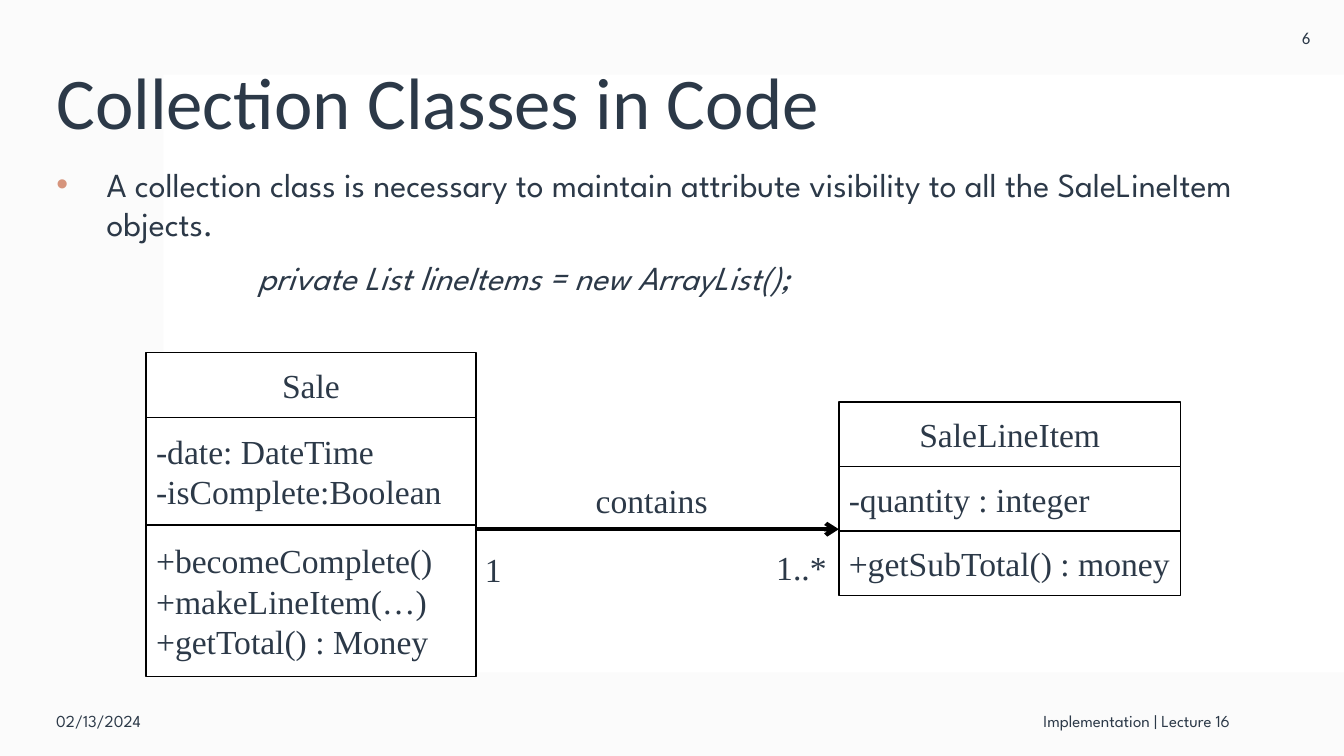
from pptx import Presentation
from pptx.util import Inches, Pt
from pptx.dml.color import RGBColor
from pptx.enum.shapes import MSO_SHAPE, MSO_CONNECTOR
from pptx.enum.text import PP_ALIGN, MSO_ANCHOR
from pptx.oxml.ns import qn
from lxml import etree

RECT, STRAIGHT = MSO_SHAPE.RECTANGLE, MSO_CONNECTOR.STRAIGHT
LEFT, CENTER, RIGHT = PP_ALIGN.LEFT, PP_ALIGN.CENTER, PP_ALIGN.RIGHT
TOP, MIDDLE = MSO_ANCHOR.TOP, MSO_ANCHOR.MIDDLE

# Content
W, H = 13.33, 7.5
INK, BLACK, WHITE, PALE, BULLET = "2C3948", "000000", "FFFFFF", "F4F4F4", "D6947C"
SANS, HEAD, SERIF = "League Spartan", "Calibri", "Times New Roman"
MARGIN, FOOT = 0.46, 0.7

TITLE = "Collection Classes in Code"
POINT = ("A collection class is necessary to maintain attribute visibility "
         "to all the SaleLineItem objects.")
CODE = "private List lineItems = new ArrayList();"

# Each class: left, top, width, then compartments (height, lines)
CLASSES = [
    (1.45, 3.5, 3.27, [
        (0.64, ["Sale"]),
        (1.07, ["-date: DateTime", "-isComplete:Boolean"]),
        (1.5, ["+becomeComplete()", "+makeLineItem(…)", "+getTotal() : Money"]),
    ]),
    (8.32, 3.99, 3.39, [
        (0.64, ["SaleLineItem"]),
        (0.64, ["-quantity : integer"]),
        (0.64, ["+getSubTotal() : money"]),
    ]),
]
LINK_Y = 5.25
LINK_LABELS = [("1..*", 7.6, 5.38, 0.72), ("1", 4.71, 5.4, 0.72),
               ("contains", 5.81, 4.71, 1.42)]
# Text, box, font, alignment
SMALL_TEXTS = [
    ("6", (W - 0.75, 0, 0.75, 0.75), HEAD, CENTER),
    ("02/13/2024", (MARGIN, H - FOOT, 3, FOOT), SANS, LEFT),
    ("Implementation | Lecture 16", (4.12, H - FOOT, 8.18, FOOT), SANS, RIGHT),
]

prs = Presentation()
prs.slide_width, prs.slide_height = Inches(W), Inches(H)
s = prs.slides.add_slide(prs.slide_layouts[6])


def rgb(color):
    return RGBColor.from_string(color)


def write(sp, lines, size, font, align=LEFT, anchor=MIDDLE):
    tf = sp.text_frame
    tf.word_wrap, tf.vertical_anchor = True, anchor
    for i, line in enumerate(lines):
        p = tf.paragraphs[0] if i == 0 else tf.add_paragraph()
        p.alignment = align
        r = p.add_run()
        r.text = line
        r.font.size, r.font.name = Pt(size), font
        r.font.color.rgb = rgb(INK)
    return tf


def text(lines, box, size, font, align=LEFT, anchor=MIDDLE):
    sp = s.shapes.add_textbox(*map(Inches, box))
    return write(sp, lines, size, font, align, anchor)


def rect(box, fill, line=None):
    sp = s.shapes.add_shape(RECT, *map(Inches, box))
    sp.shadow.inherit = False
    sp.fill.solid()
    sp.fill.fore_color.rgb = rgb(fill)
    if line:
        sp.line.color.rgb, sp.line.width = rgb(line), Pt(1)
    else:
        sp.line.fill.background()
    return sp


# Background: pale wash with a white panel
wash = rect((0, 0, W, H), PALE)
tint = wash._element.spPr.find(qn("a:solidFill"))[0]
etree.SubElement(tint, qn("a:alpha"), val="35000")
rect((1.62, 0.74, W - 1.62, 5.93), WHITE)

# Title and body
text([TITLE], (MARGIN, 0.4, 11.53, 1.19), 52, HEAD)
tf = text([POINT, CODE], (MARGIN, 1.59, 12.41, 1.75), 24, SANS, anchor=TOP)
point, code = tf.paragraphs
for p in (point, code):
    p.line_spacing, p.space_before = Pt(28), Pt(10)
code.runs[0].font.italic = True
code._p.get_or_add_pPr().set("marL", str(Inches(2)))
pPr = point._p.get_or_add_pPr()
pPr.set("marL", str(Inches(0.5)))
pPr.set("indent", str(-Inches(0.5)))
bullet_color = etree.SubElement(pPr, qn("a:buClr"))
etree.SubElement(bullet_color, qn("a:srgbClr"), val=BULLET)
etree.SubElement(pPr, qn("a:buFont"), typeface="Arial")
etree.SubElement(pPr, qn("a:buChar"), char="•")

# Page number, date and footer
for words, box, font, align in SMALL_TEXTS:
    text([words], box, 12, font, align)

# Class boxes: compartments stacked downwards, name centred
for left, top, width, compartments in CLASSES:
    y = top
    for i, (height, lines) in enumerate(compartments):
        sp = rect((left, y, width, height), WHITE, BLACK)
        write(sp, lines, 24, SERIF, LEFT if i else CENTER)
        y += height

# Association arrow between the classes
sale, item = CLASSES
link = s.shapes.add_connector(STRAIGHT, Inches(sale[0] + sale[2]), Inches(LINK_Y),
                              Inches(item[0]), Inches(LINK_Y))
link.line.color.rgb, link.line.width = rgb(BLACK), Pt(3)
etree.SubElement(link.line._get_or_add_ln(), qn("a:tailEnd"), type="arrow")
etree.SubElement(link._element.spPr, qn("a:effectLst"))
for words, x, y, width in LINK_LABELS:
    text([words], (x, y, width, 0.5), 24, SERIF, anchor=TOP)

prs.save("out.pptx")
